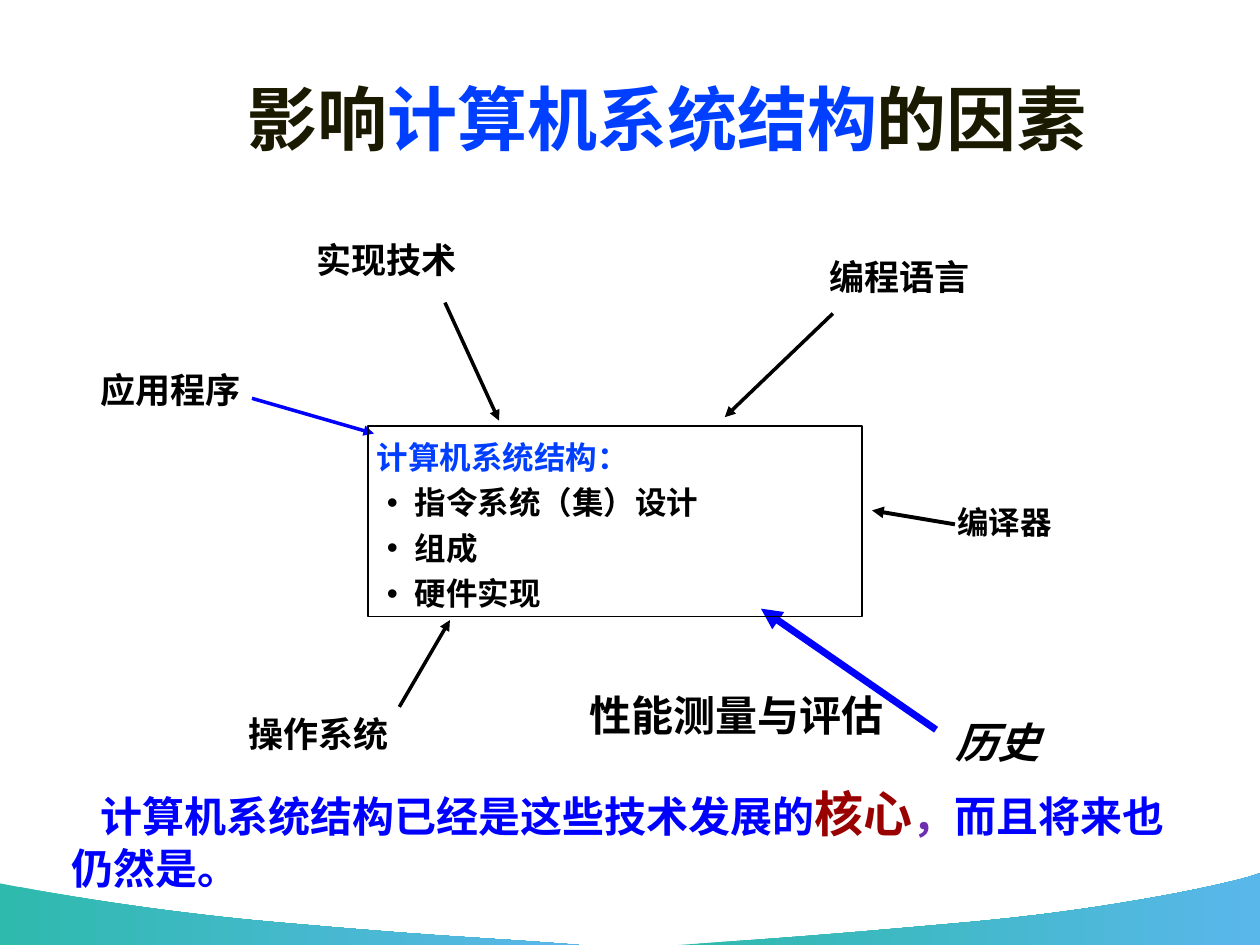
from lxml.etree import SubElement
from pptx import Presentation
from pptx.dml.color import RGBColor
from pptx.enum.shapes import MSO_CONNECTOR, MSO_SHAPE
from pptx.enum.text import MSO_ANCHOR, MSO_AUTO_SIZE, PP_ALIGN
from pptx.oxml.ns import qn
from pptx.util import Cm, Pt

COLORS = {
    "black": "000000", "title": "1A1A00", "accent": "003FFF", "blue": "0000FF",
    "red": "990000", "purple": "6D2FAF", "teal": "2EBAAD", "sky": "5AB7EA",
}
LABEL_INSETS = (0.18, 0.08)
DEFAULT_INSETS = (0.25, 0.13)


def rgb(name):
    return RGBColor.from_string(COLORS[name])


def add_run(p, text, size=20, color="black", font="Comic Neue", italic=False):
    r = p.add_run()
    r.text = text
    r.font.name, r.font.size = font, Pt(size)
    r.font.bold, r.font.italic = True, italic
    r.font.color.rgb = rgb(color)


def format_frame(tf, insets=LABEL_INSETS, wrap=True, anchor=MSO_ANCHOR.TOP):
    tf.auto_size = MSO_AUTO_SIZE.NONE
    tf.word_wrap = wrap
    tf.vertical_anchor = anchor
    tf.margin_left = tf.margin_right = Cm(insets[0])
    tf.margin_top = tf.margin_bottom = Cm(insets[1])


def add_label(slide, text, box, spacing=1.02, insets=LABEL_INSETS, **fmt):
    tf = slide.shapes.add_textbox(*map(Cm, box)).text_frame
    format_frame(tf, insets, wrap=False)
    tf.paragraphs[0].line_spacing = spacing
    add_run(tf.paragraphs[0], text, **fmt)


def add_arrow(slide, start, end, color="black", width=2):
    c = slide.shapes.add_connector(MSO_CONNECTOR.STRAIGHT, *map(Cm, start + end))
    c.line.color.rgb = rgb(color)
    c.line.width = Pt(width)
    sp_pr = c._element.spPr
    SubElement(sp_pr.find(qn("a:ln")), qn("a:tailEnd"), type="triangle")
    SubElement(sp_pr, qn("a:effectLst"))


def bezier(p0, p1, p2, p3, steps=20):
    """Points along a cubic curve, without its start."""
    for i in range(1, steps + 1):
        t = i / steps
        u = 1 - t
        yield tuple(u**3 * a + 3 * u * u * t * b + 3 * u * t * t * c + t**3 * d
                    for a, b, c, d in zip(p0, p1, p2, p3))


def add_wave(slide, knots, corner):
    """Fill the area between two joined cubic curves and a slide corner."""
    points = [*bezier(*knots[:4]), *bezier(*knots[3:]), corner]
    builder = slide.shapes.build_freeform(*map(Cm, knots[0]))
    builder.add_line_segments([(Cm(x), Cm(y)) for x, y in points], close=True)
    sp = builder.convert_to_shape()
    sp.shadow.inherit = False
    sp.line.fill.background()
    sp.fill.gradient()
    sp.fill.gradient_angle = 0
    for stop, color, position in zip(sp.fill.gradient_stops, ("teal", "sky"), (0, 1)):
        stop.color.rgb = rgb(color)
        stop.position = position


def add_title(slide):
    title = slide.shapes.title
    title.left, title.top, title.width, title.height = map(Cm, (2.59, 1.4, 21.72, 1.93))
    format_frame(title.text_frame, DEFAULT_INSETS, anchor=MSO_ANCHOR.MIDDLE)
    p = title.text_frame.paragraphs[0]
    p.alignment = PP_ALIGN.CENTER
    for text, color in (("影响", "title"), ("计算机系统结构", "accent"), ("的因素", "title")):
        add_run(p, text, 40, color, "Arial")


def add_bullet(p):
    p_pr = p._p.get_or_add_pPr()
    p_pr.set("marL", str(Cm(0.76)))
    p_pr.set("indent", str(-Cm(0.56)))
    SubElement(p_pr, qn("a:buFont"), typeface="Arial")
    SubElement(p_pr, qn("a:buChar"), char="•")


def add_core_box(slide, heading, items):
    sp = slide.shapes.add_shape(MSO_SHAPE.RECTANGLE, *map(Cm, (7.42, 8.59, 9.96, 3.84)))
    sp.shadow.inherit = False
    sp.fill.background()
    sp.line.color.rgb = rgb("black")
    sp.line.width = Pt(1)
    tf = sp.text_frame
    format_frame(tf)
    for i, text in enumerate([heading, *items]):
        p = tf.add_paragraph() if i else tf.paragraphs[0]
        if i:
            add_bullet(p)
        p.alignment = PP_ALIGN.LEFT
        p.line_spacing = Pt(26)
        add_run(p, text, 18, "black" if i else "accent")


def add_conclusion(slide):
    tf = slide.shapes.add_textbox(*map(Cm, (1.19, 15.67, 23.29, 2.49))).text_frame
    format_frame(tf, DEFAULT_INSETS)
    p = tf.paragraphs[0]
    p._p.get_or_add_pPr().set("indent", str(Cm(0.58)))
    add_run(p, "计算机系统结构已经是这些技术发展的", 24, "blue")
    add_run(p, "核心", 28, "red")
    add_run(p, "，", 24, "purple")
    add_run(p, "而且将来也仍然是。", 24, "blue")


def main():
    prs = Presentation()
    prs.slide_width, prs.slide_height = Cm(25.4), Cm(19.05)
    slide = prs.slides.add_slide(prs.slide_layouts[5])

    add_wave(slide, [(11.68, 19.05), (9.75, 18.9), (9.09, 18.9), (5.89, 18.62),
                     (2.69, 18.36), (0.03, 17.81), (0, 17.81)], (0, 19.05))
    add_wave(slide, [(13.69, 19.05), (15.6, 18.92), (16.41, 18.87), (19.53, 18.59),
                     (22.66, 18.31), (25.15, 17.73), (25.4, 17.6)], (25.4, 19.05))
    add_title(slide)

    for text, left, top in (("实现技术", 6.2, 4.72), ("编程语言", 16.54, 5.05),
                            ("操作系统", 4.83, 14.27), ("应用程序", 1.85, 7.34)):
        add_label(slide, text, (left, top, 3.23, 1.02))
    add_label(slide, "历史", (19.08, 14.43, 2.08, 1.14), 0.97, size=24, italic=True)
    add_label(slide, "编译器", (19.05, 10.01, 2.46, 1.02), 1.0, DEFAULT_INSETS, size=18)

    add_arrow(slide, (5.08, 8.03), (7.54, 8.74), "blue")
    add_arrow(slide, (8.05, 14.25), (9.07, 12.5))
    add_arrow(slide, (8.97, 6.1), (10.06, 8.48))
    add_arrow(slide, (16.79, 6.32), (14.61, 8.41))
    add_arrow(slide, (18.87, 14.71), (15.34, 12.27), "blue", 4)
    add_label(slide, "性能测量与评估", (11.71, 13.97, 6.45, 1.02), 0.86, size=24)
    add_core_box(slide, "计算机系统结构：", ["指令系统（集）设计", "组成", "硬件实现"])
    add_arrow(slide, (19.25, 10.57), (17.58, 10.29), width=2.25)
    add_conclusion(slide)
    prs.save("out.pptx")


if __name__ == "__main__":
    main()
